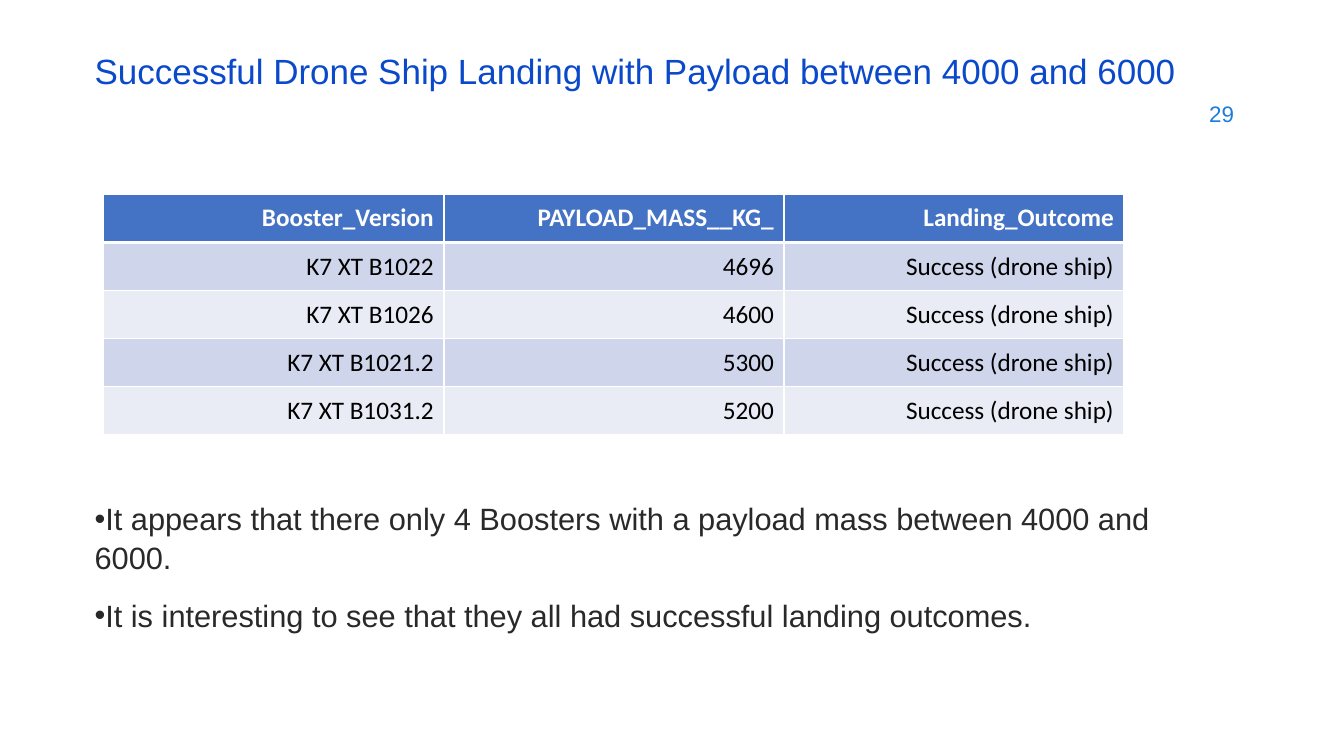
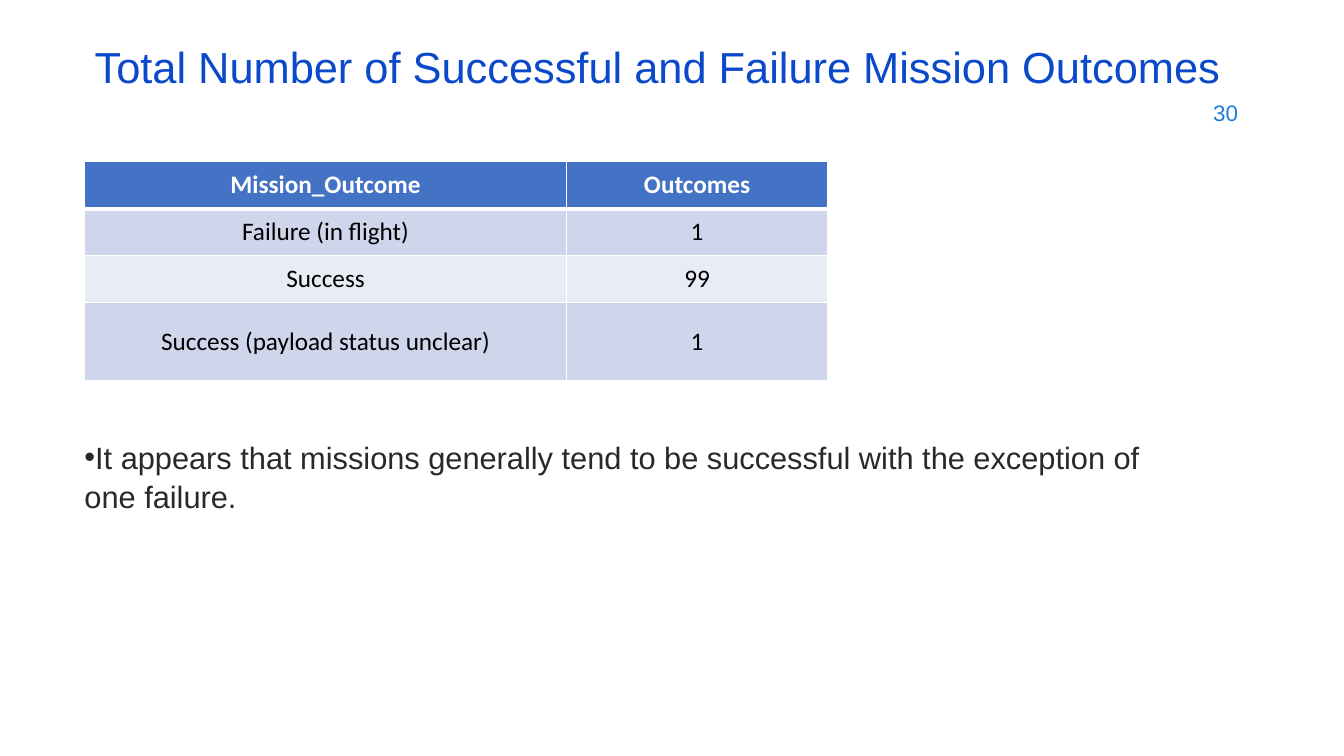
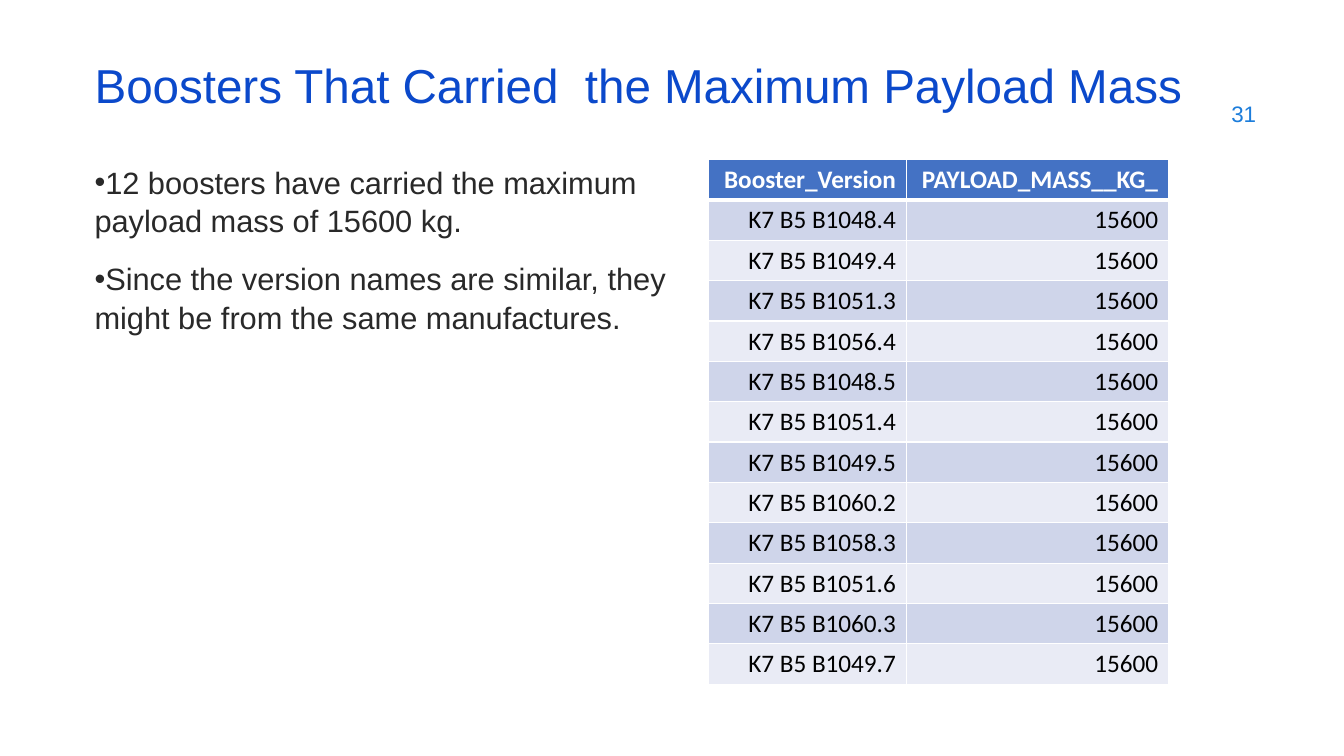
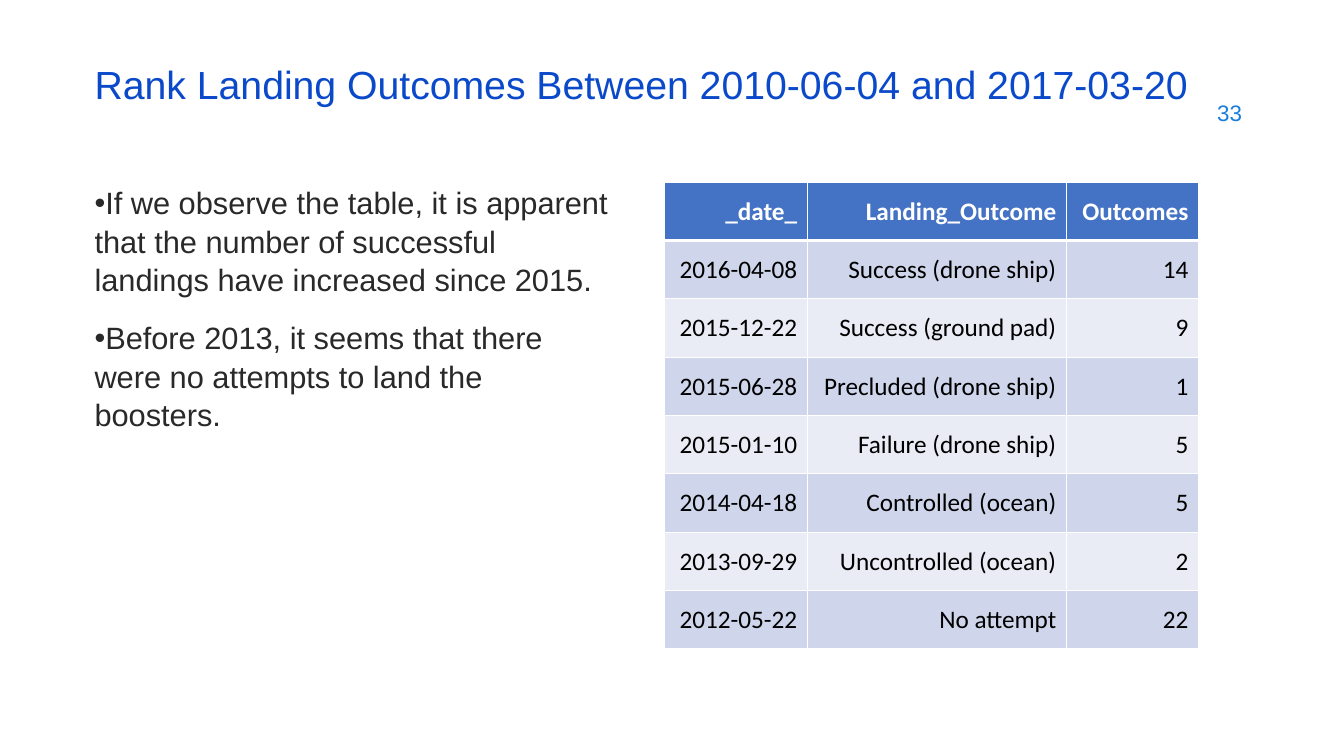
from lxml.etree import SubElement
from pptx import Presentation
from pptx.dml.color import RGBColor
from pptx.enum.text import MSO_ANCHOR, PP_ALIGN
from pptx.oxml.ns import qn
from pptx.util import Inches, Pt

TITLE_BLUE = RGBColor(0x0B, 0x49, 0xCB)
NUMBER_BLUE = RGBColor(0x1C, 0x7D, 0xDB)
BODY_GREY = RGBColor(0x29, 0x29, 0x29)
HEADER_BLUE = RGBColor(0x44, 0x72, 0xC4)
BAND_DARK = RGBColor(0xCF, 0xD5, 0xEA)
BAND_LIGHT = RGBColor(0xE9, 0xEB, 0xF5)
WHITE = RGBColor(0xFF, 0xFF, 0xFF)
BLACK = RGBColor(0, 0, 0)

TEXT_FONT = "Arial"
TABLE_FONT = "Calibri"
MARGIN = 6.3


class Deck:
    """Style and current slide; lengths are percent of the slide's width or height."""

    def __init__(self):
        self.prs = Presentation()
        self.prs.slide_width = Inches(13.33)
        self.prs.slide_height = Inches(7.5)
        self.s = None

    def x(self, share):
        return round(self.prs.slide_width * share / 100)

    def y(self, share):
        return round(self.prs.slide_height * share / 100)

    def new_slide(self):
        self.s = self.prs.slides.add_slide(self.prs.slide_layouts[6])

    def text_box(self, left, top, width, height, anchor):
        sp = self.s.shapes.add_textbox(
            self.x(left), self.y(top), self.x(width), self.y(height))
        tf = sp.text_frame
        tf.word_wrap = True
        tf.vertical_anchor = anchor
        return tf

    def run(self, p, text, size, color, font=TEXT_FONT, bold=False):
        r = p.add_run()
        r.text = text
        r.font.name = font
        r.font.size = Pt(size)
        r.font.bold = bold
        r.font.color.rgb = color

    def number(self, text, right, top=12.1):
        width = 22.5
        tf = self.text_box(right - width, top, width, 5.9, MSO_ANCHOR.MIDDLE)
        p = tf.paragraphs[0]
        p.alignment = PP_ALIGN.RIGHT
        self.run(p, text, 16, NUMBER_BLUE)

    def title(self, text, size, top=7.9, spacing=0.7):
        tf = self.text_box(MARGIN, top, 86.25, 8, MSO_ANCHOR.MIDDLE)
        p = tf.paragraphs[0]
        p.line_spacing = spacing
        self.run(p, text, size, TITLE_BLUE)

    def bullets(self, left, top, width, height, items):
        tf = self.text_box(left, top, width, height, MSO_ANCHOR.TOP)
        for i, item in enumerate(items):
            p = tf.add_paragraph() if i else tf.paragraphs[0]
            pPr = p._p.get_or_add_pPr()
            pPr.set("marL", "0")
            pPr.set("indent", "0")
            SubElement(pPr, qn("a:buFont"), typeface=TEXT_FONT)
            SubElement(pPr, qn("a:buChar"), char="•")
            p.line_spacing = 1.04
            if i:
                p.space_before = Pt(14)
            self.run(p, item, 22, BODY_GREY)

    def borders(self, cell, top, bottom):
        """White cell borders; they must be set before the cell's fill."""
        tcPr = cell._tc.get_or_add_tcPr()
        for side, width in (("L", 1), ("R", 1), ("T", top), ("B", bottom)):
            ln = SubElement(tcPr, qn(f"a:ln{side}"), w=str(Pt(width)))
            fill = SubElement(ln, qn("a:solidFill"))
            SubElement(fill, qn("a:srgbClr"), val=str(WHITE))

    def table(self, left, top, cols, heights, rows, align=PP_ALIGN.RIGHT):
        frame = self.s.shapes.add_table(
            len(rows), len(cols), self.x(left), self.y(top),
            self.x(sum(cols)), self.y(sum(heights)))
        tbl = frame.table
        tbl.first_row = tbl.horz_banding = False
        for column, width in zip(tbl.columns, cols):
            column.width = self.x(width)
        for i, (row, height, values) in enumerate(zip(tbl.rows, heights, rows)):
            row.height = self.y(height)
            header = i == 0
            band = BAND_DARK if i % 2 else BAND_LIGHT
            for cell, value in zip(row.cells, values):
                self.borders(cell, 3 if i == 1 else 1, 3 if header else 1)
                cell.fill.solid()
                cell.fill.fore_color.rgb = HEADER_BLUE if header else band
                cell.vertical_anchor = MSO_ANCHOR.MIDDLE
                p = cell.text_frame.paragraphs[0]
                p.alignment = align
                self.run(p, value, 18, WHITE if header else BLACK, TABLE_FONT, header)


def drone_ship_landings(deck):
    deck.new_slide()
    deck.number("29", 92.55)
    deck.bullets(MARGIN, 65.3, 80, 24.7, [
        "It appears that there only 4 Boosters with a payload mass between 4000 and 6000.",
        "It is interesting to see that they all had successful landing outcomes.",
    ])
    deck.title("Successful Drone Ship Landing with Payload between 4000 and 6000", 25, top=6)
    boosters = [("K7 XT B1022", "4696"), ("K7 XT B1026", "4600"),
                ("K7 XT B1021.2", "5300"), ("K7 XT B1031.2", "5200")]
    rows = [("Booster_Version", "PAYLOAD_MASS__KG_", "Landing_Outcome")]
    rows += [(*booster, "Success (drone ship)") for booster in boosters]
    deck.table(7.73, 25.7, [25.3] * 3, [6.37] * len(rows), rows)


def mission_outcomes(deck):
    deck.new_slide()
    deck.number("30", 92.85, top=12)
    deck.bullets(5.55, 57.2, 81.15, 25.9, [
        "It appears that missions generally tend to be successful with the exception of one failure.",
    ])
    deck.title("Total Number of Successful and Failure Mission Outcomes", 31, top=5.6)
    rows = [
        ("Mission_Outcome", "Outcomes"),
        ("Failure (in flight)", "1"),
        ("Success", "99"),
        ("Success (payload status unclear)", "1"),
    ]
    deck.table(MARGIN, 21.4, [35.85, 19.43], [6.2] * 3 + [10.4], rows, PP_ALIGN.CENTER)


def maximum_payload(deck):
    deck.new_slide()
    deck.number("31", 94.2)
    deck.bullets(MARGIN, 20.8, 44.55, 69.3, [
        "12 boosters have carried the maximum payload mass of 15600 kg.",
        "Since the version names are similar, they might be from the same manufactures.",
    ])
    deck.title("Boosters That Carried  the Maximum Payload Mass", 34, spacing=0.8)
    versions = ["1048.4", "1049.4", "1051.3", "1056.4", "1048.5", "1051.4",
                "1049.5", "1060.2", "1058.3", "1051.6", "1060.3", "1049.7"]
    rows = [("Booster_Version", "PAYLOAD_MASS__KG_")]
    rows += [(f"K7 B5 B{version}", "15600") for version in versions]
    deck.table(52.72, 21.1, [14.7, 19.5], [5.33] * len(rows), rows)


def landing_ranking(deck):
    deck.new_slide()
    deck.number("33", 93.15, top=11.9)
    deck.bullets(MARGIN, 23.5, 40.35, 66.5, [
        "If we observe the table, it is apparent that the number of successful "
        "landings have increased since 2015.",
        "Before 2013, it seems that there were no attempts to land the boosters.",
    ])
    deck.title("Rank Landing Outcomes Between 2010-06-04 and 2017-03-20", 28)
    rows = [
        ("_date_", "Landing_Outcome", "Outcomes"),
        ("2016-04-08", "Success (drone ship)", "14"),
        ("2015-12-22", "Success (ground pad)", "9"),
        ("2015-06-28", "Precluded (drone ship)", "1"),
        ("2015-01-10", "Failure (drone ship)", "5"),
        ("2014-04-18", "Controlled (ocean)", "5"),
        ("2013-09-29", "Uncontrolled (ocean)", "2"),
        ("2012-05-22", "No attempt", "22"),
    ]
    deck.table(49.42, 24.1, [10.65, 19.28, 9.83], [7.72] * len(rows), rows)


def main():
    deck = Deck()
    for build in (drone_ship_landings, mission_outcomes, maximum_payload, landing_ranking):
        build(deck)
    deck.prs.save("out.pptx")


if __name__ == "__main__":
    main()
